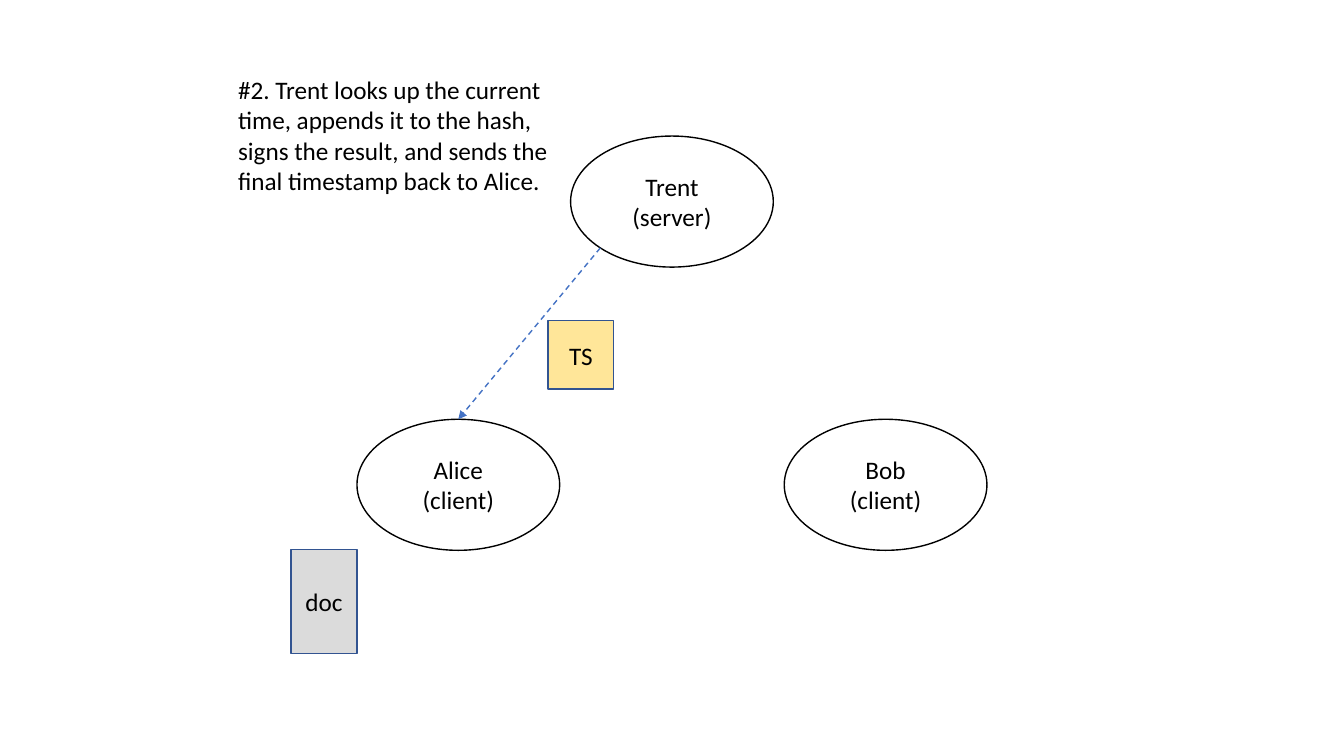
import pptx
import pptx.util
import pptx.dml.color
import pptx.enum.dml
import pptx.enum.shapes
import pptx.enum.text
import pptx.oxml
import pptx.oxml.ns

Pt = pptx.util.Pt
KIND = pptx.enum.shapes.MSO_SHAPE
ALIGN = pptx.enum.text.PP_ALIGN


def paint(color, value):
    """Set a color format from a hex string."""
    color.rgb = pptx.dml.color.RGBColor.from_string(value)


def write(frame, lines, align):
    """Write one paragraph per line in the slide's text style."""
    frame.word_wrap = True
    for i, line in enumerate(lines):
        para = frame.paragraphs[0] if i == 0 else frame.add_paragraph()
        para.alignment = align
        run = para.add_run()
        run.text = line
        run.font.name = "Calibri"
        run.font.size = Pt(18)
        paint(run.font.color, "000000")


deck = pptx.Presentation()
deck.slide_width, deck.slide_height = Pt(960), Pt(540)
slide = deck.slides.add_slide(deck.slide_layouts[6])
shapes = slide.shapes

# Parties, their document and the timestamp
wide, high = 144.8, 93.6
mid, step = 480, 152.6
left = mid - wide / 2
low = 299.5
items = [
    (KIND.OVAL, left, 97.2, wide, high, None, "000000", ["Trent", "(server)"]),
    (KIND.OVAL, left - step, low, wide, high, None, "000000", ["Alice", "(client)"]),
    (KIND.OVAL, left + step, low, wide, high, None, "000000", ["Bob", "(client)"]),
    (KIND.RECTANGLE, 208, 392.5, 47, 74.5, "DBDBDB", "325491", ["doc"]),
    (KIND.RECTANGLE, 391.5, 229, 47, 49, "FFE699", "325491", ["TS"]),
]
nodes = {}
for kind, x, y, w, h, fill, edge, lines in items:
    node = shapes.add_shape(kind, Pt(x), Pt(y), Pt(w), Pt(h))
    node.shadow.inherit = False
    if fill:
        node.fill.solid()
        paint(node.fill.fore_color, fill)
    else:
        node.fill.background()
    paint(node.line.color, edge)
    node.line.width = Pt(1)
    node.text_frame.vertical_anchor = pptx.enum.text.MSO_ANCHOR.MIDDLE
    write(node.text_frame, lines, ALIGN.CENTER)
    nodes[lines[0]] = node

# Dashed reply from Trent's lower left to the top of Alice
reply = shapes.add_connector(
    pptx.enum.shapes.MSO_CONNECTOR.STRAIGHT, Pt(0), Pt(0), Pt(0), Pt(0))
reply.begin_connect(nodes["Trent"], 3)
reply.end_connect(nodes["Alice"], 0)
reply.begin_x, reply.begin_y = Pt(428.8), Pt(177.1)
paint(reply.line.color, "4472C4")
reply.line.width = Pt(1)
reply.line.dash_style = pptx.enum.dml.MSO_LINE.DASH
space = pptx.oxml.ns.nsdecls("a")
reply.line._get_or_add_ln().append(
    pptx.oxml.parse_xml(f'<a:tailEnd {space} type="triangle"/>'))
reply._element.spPr.append(pptx.oxml.parse_xml(f"<a:effectLst {space}/>"))

# Step description
note = shapes.add_textbox(Pt(163), Pt(49.7), Pt(244.6), Pt(94.5))
note.text_frame.auto_size = pptx.enum.text.MSO_AUTO_SIZE.SHAPE_TO_FIT_TEXT
write(note.text_frame, [
    "#2. Trent looks up the current time, appends it to the hash, "
    "signs the result, and sends the final timestamp back to Alice."
], ALIGN.LEFT)

deck.save("out.pptx")
